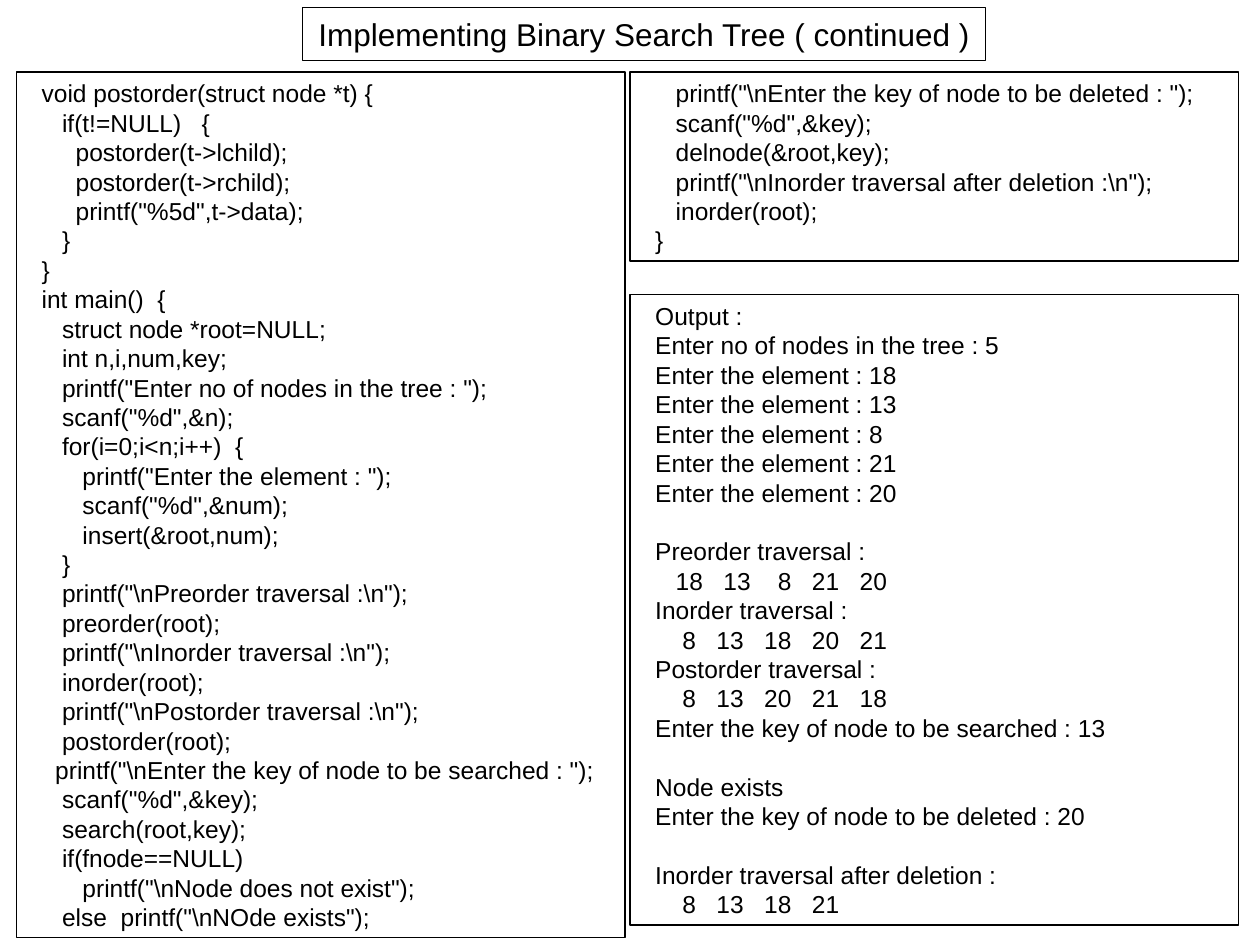
"""Builds the slide that ends the binary search tree program and shows its output."""
import pptx
import pptx.dml.color
import pptx.enum.shapes
import pptx.enum.text
import pptx.util
from pptx.util import Cm, Pt

TITLE = "Implementing Binary Search Tree ( continued )"

MAIN_CODE = r'''void postorder(struct node *t) {
   if(t!=NULL)   {
     postorder(t->lchild);
     postorder(t->rchild);
     printf("%5d",t->data);
   }
}
int main()  {
   struct node *root=NULL;
   int n,i,num,key;
   printf("Enter no of nodes in the tree : ");
   scanf("%d",&n);
   for(i=0;i<n;i++)  {
      printf("Enter the element : ");
      scanf("%d",&num);
      insert(&root,num);
   }
   printf("\nPreorder traversal :\n");
   preorder(root);
   printf("\nInorder traversal :\n");
   inorder(root);
   printf("\nPostorder traversal :\n");
   postorder(root);
  printf("\nEnter the key of node to be searched : ");
   scanf("%d",&key);
   search(root,key);
   if(fnode==NULL)
      printf("\nNode does not exist");
   else  printf("\nNOde exists");'''

DELETE_CODE = r'''   printf("\nEnter the key of node to be deleted : ");
   scanf("%d",&key);
   delnode(&root,key);
   printf("\nInorder traversal after deletion :\n");
   inorder(root);
}'''

OUTPUT = '''Output :
Enter no of nodes in the tree : 5
Enter the element : 18
Enter the element : 13
Enter the element : 8
Enter the element : 21
Enter the element : 20

Preorder traversal :
   18   13    8   21   20
Inorder traversal :
    8   13   18   20   21
Postorder traversal :
    8   13   20   21   18
Enter the key of node to be searched : 13

Node exists
Enter the key of node to be deleted : 20

Inorder traversal after deletion :
    8   13   18   21'''

PANELS = [
    (MAIN_CODE, 0.33, 1.45),
    (DELETE_CODE, 12.7, 1.45),
    (OUTPUT, 12.7, 5.94),
]
PANEL_WIDTH = Cm(12.27)
LINE_PITCH = Pt(16.8)
SIDE_INSET = Cm(0.51)
EDGE_INSET = Cm(0.13)
HANGING = Cm(0.84)
BLACK = "000000"


def color(value):
    return pptx.dml.color.RGBColor.from_string(value)


def outline(shape):
    shape.fill.background()
    shape.line.color.rgb = color(BLACK)
    shape.line.width = Pt(0.75)


def set_insets(frame, side):
    frame.margin_left = frame.margin_right = side
    frame.margin_top = frame.margin_bottom = EDGE_INSET


def add_span(para, text, size):
    span = para.add_run()
    span.text = text
    span.font.name = "Arial"
    span.font.size = Pt(size)
    span.font.color.rgb = color(BLACK)


def format_title(title):
    title.left, title.top, title.width, title.height = Cm(6.1), Cm(0.15), Cm(13.77), Cm(1.07)
    outline(title)
    frame = title.text_frame
    frame.auto_size = pptx.enum.text.MSO_AUTO_SIZE.NONE
    frame.vertical_anchor = pptx.enum.text.MSO_ANCHOR.MIDDLE
    set_insets(frame, Cm(0.25))
    para = frame.paragraphs[0]
    para.alignment = pptx.enum.text.PP_ALIGN.CENTER
    add_span(para, TITLE, 18)


def add_panel(page, text, left, top):
    lines = text.split("\n")
    height = len(lines) * LINE_PITCH + 2 * EDGE_INSET
    box = page.shapes.add_shape(
        pptx.enum.shapes.MSO_SHAPE.RECTANGLE, Cm(left), Cm(top), PANEL_WIDTH, height)
    box.shadow.inherit = False
    outline(box)
    frame = box.text_frame
    frame.word_wrap = True
    frame.auto_size = pptx.enum.text.MSO_AUTO_SIZE.SHAPE_TO_FIT_TEXT
    frame.vertical_anchor = pptx.enum.text.MSO_ANCHOR.TOP
    set_insets(frame, SIDE_INSET)
    for index, line in enumerate(lines):
        if not line:
            continue
        para = frame.add_paragraph() if index else frame.paragraphs[0]
        properties = para._p.get_or_add_pPr()
        properties.set("marL", str(HANGING))
        properties.set("indent", str(-HANGING))
        para.alignment = pptx.enum.text.PP_ALIGN.LEFT
        para.line_spacing = LINE_PITCH
        if index and not lines[index - 1]:
            para.space_before = LINE_PITCH
        add_span(para, line, 14)


def main():
    deck = pptx.Presentation()
    deck.slide_width, deck.slide_height = Cm(25.4), Cm(19.05)
    page = deck.slides.add_slide(deck.slide_layouts.get_by_name("Title Only"))
    format_title(page.shapes.title)
    for text, left, top in PANELS:
        add_panel(page, text, left, top)
    deck.save("out.pptx")


if __name__ == "__main__":
    main()
